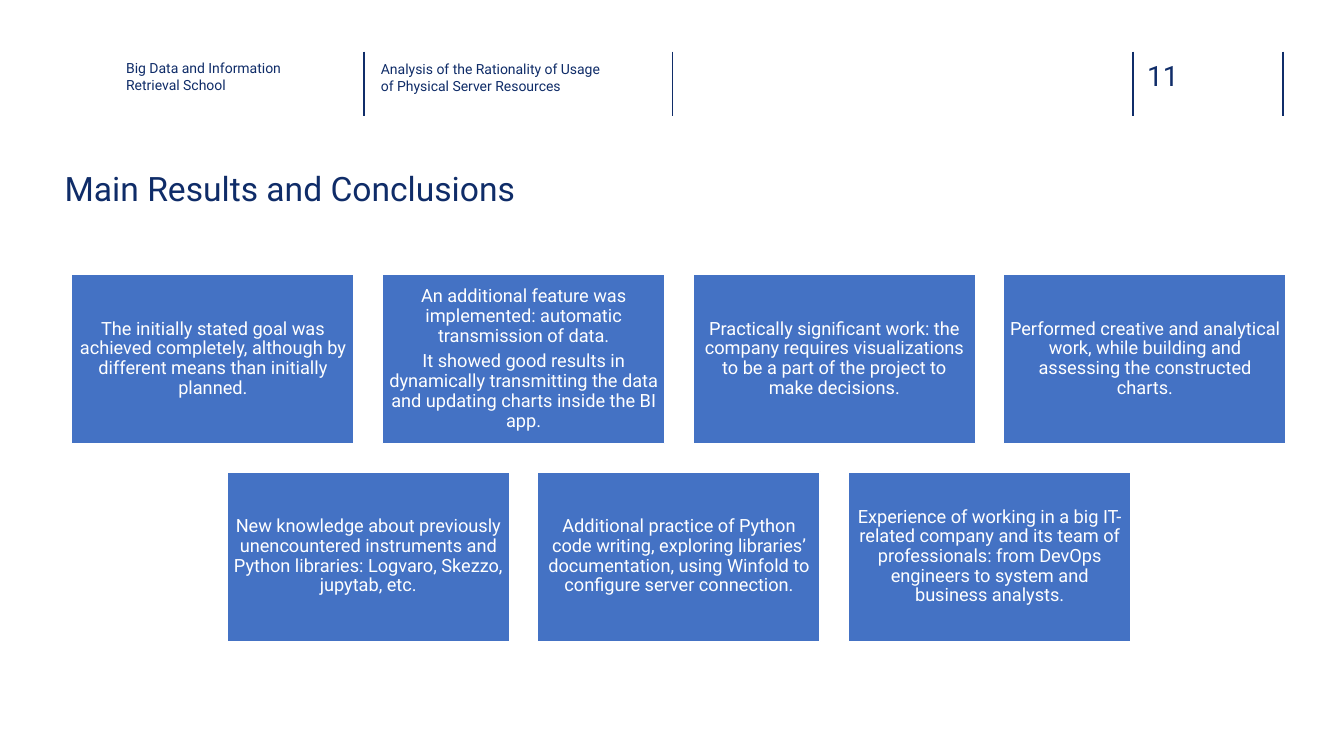
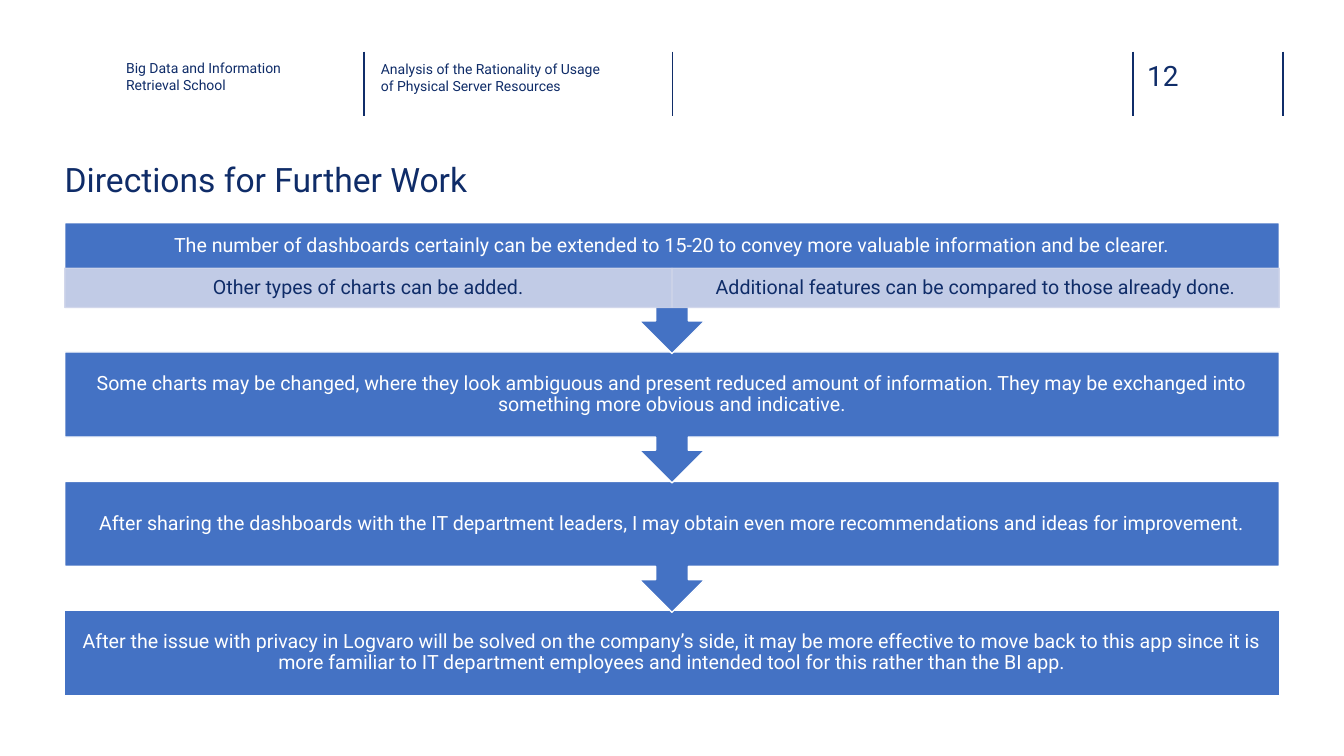
from pptx import Presentation
from pptx.dml.color import RGBColor
from pptx.enum.shapes import MSO_CONNECTOR, MSO_SHAPE
from pptx.enum.text import MSO_ANCHOR, PP_ALIGN
from pptx.oxml.ns import qn
from pptx.util import Cm, Pt
from lxml import etree

NAVY = RGBColor(0x0F, 0x2C, 0x68)
RULE_NAVY = RGBColor(0x10, 0x2D, 0x69)
BLUE = RGBColor(0x44, 0x72, 0xC4)
PALE_BLUE = RGBColor(0xCF, 0xD5, 0xEA)
WHITE = RGBColor(0xFF, 0xFF, 0xFF)
FONT = "Roboto"
RECTANGLE = MSO_SHAPE.RECTANGLE
DOWN_CALLOUT = MSO_SHAPE.DOWN_ARROW_CALLOUT
STRAIGHT = MSO_CONNECTOR.STRAIGHT
LEFT, CENTER = PP_ALIGN.LEFT, PP_ALIGN.CENTER
TOP, MIDDLE = MSO_ANCHOR.TOP, MSO_ANCHOR.MIDDLE

presentation = Presentation()
presentation.slide_width = Cm(33.87)
presentation.slide_height = Cm(19.05)


def add_text(slide, text, left, top, width, height, size=10, color=NAVY,
             kind=None, fill=BLUE, line=WHITE, margins=(0, 0, 0, 0)):
    box = Cm(left), Cm(top), Cm(width), Cm(height)
    if kind is None:
        shape = slide.shapes.add_textbox(*box)
    else:
        shape = slide.shapes.add_shape(kind, *box)
        shape.shadow.inherit = False
        shape.fill.solid()
        shape.fill.fore_color.rgb = fill
        shape.line.color.rgb = line
        shape.line.width = Pt(1)
    frame = shape.text_frame
    frame.word_wrap = True
    frame.vertical_anchor = TOP if kind is None else MIDDLE
    (frame.margin_left, frame.margin_top,
     frame.margin_right, frame.margin_bottom) = [Cm(margin) for margin in margins]
    for index, content in enumerate(text.split("\n")):
        paragraph = frame.add_paragraph() if index else frame.paragraphs[0]
        paragraph.text = content
        paragraph.alignment = LEFT if kind is None else CENTER
        if kind is not None:
            paragraph.line_spacing = 0.9
            paragraph.space_after = Pt(round(size * 0.35, 1))
        paragraph.font.name = FONT
        paragraph.font.size = Pt(size)
        paragraph.font.color.rgb = color
    return shape


def start_slide(title, number, title_top):
    slide = presentation.slides.add_slide(presentation.slide_layouts[6])
    for x in (9.17, 16.94, 28.55, 32.33):
        rule = slide.shapes.add_connector(STRAIGHT, Cm(x), Cm(1.3), Cm(x), Cm(2.93))
        rule.line.color.rgb = RULE_NAVY
        rule.line.width = Pt(1)
        etree.SubElement(rule.element.spPr, qn("a:effectLst"))
    add_text(slide, number, 28.91, 1.47, 1.85, 0.86, size=20, color=RULE_NAVY)
    add_text(slide, "Big Data and Information Retrieval School", 3.18, 1.5, 5.28, 1.14)
    add_text(slide, "Analysis of the Rationality of Usage of Physical Server Resources",
             9.6, 1.52, 5.74, 1.14)
    add_text(slide, title, 1.63, title_top, 17.02, 1.93, size=24)
    return slide


CARD_ROWS = [
    [
        "The initially stated goal was achieved completely, although by different "
        "means than initially planned.",
        "An additional feature was implemented: automatic transmission of data.\n"
        "It showed good results in dynamically transmitting the data and updating "
        "charts inside the BI app.",
        "Practically significant work: the company requires visualizations to be a "
        "part of the project to make decisions.",
        "Performed creative and analytical work, while building and assessing the "
        "constructed charts.",
    ],
    [
        "New knowledge about previously unencountered instruments and Python "
        "libraries: Logvaro, Skezzo, jupytab, etc.",
        "Additional practice of Python code writing, exploring libraries’ "
        "documentation, using Winfold to configure server connection.",
        "Experience of working in a big IT-related company and its team of "
        "professionals: from DevOps engineers to system and business analysts.",
    ],
]
CARD_WIDTH, CARD_HEIGHT, CARD_GAP = 7.12, 4.27, 0.71
CARDS_CENTER = 17.11
slide = start_slide("Main Results and Conclusions", "11", 4.24)
for row, cards in enumerate(CARD_ROWS):
    row_width = len(cards) * (CARD_WIDTH + CARD_GAP) - CARD_GAP
    for column, text in enumerate(cards):
        add_text(slide, text,
                 CARDS_CENTER - row_width / 2 + column * (CARD_WIDTH + CARD_GAP),
                 6.91 + row * (CARD_HEIGHT + CARD_GAP), CARD_WIDTH, CARD_HEIGHT,
                 size=13, color=WHITE, kind=RECTANGLE, margins=(0.13,) * 4)

STEPS = [
    "The number of dashboards certainly can be extended to 15-20 to convey more "
    "valuable information and be clearer.",
    "Some charts may be changed, where they look ambiguous and present reduced "
    "amount of information. They may be exchanged into something more obvious and "
    "indicative.",
    "After sharing the dashboards with the IT department leaders, I may obtain even "
    "more recommendations and ideas for improvement.",
    "After the issue with privacy in Logvaro will be solved on the company’s side, it "
    "may be more effective to move back to this app since it is more familiar to IT "
    "department employees and intended tool for this rather than the BI app.",
]
BRANCHES = [
    "Other types of charts can be added.",
    "Additional features can be compared to those already done.",
]
FLOW_LEFT, FLOW_TOP, FLOW_WIDTH, STEP_PITCH = 1.63, 5.61, 30.61, 3.26
BRANCH_WIDTH = FLOW_WIDTH / len(BRANCHES)
MARGIN = 0.28
slide = start_slide("Directions for Further Work", "12", 4.01)
for index, text in reversed(list(enumerate(STEPS))):
    is_last = index == len(STEPS) - 1
    bottom_margin = MARGIN if index else 1.25
    add_text(slide, text, FLOW_LEFT, FLOW_TOP + index * STEP_PITCH, FLOW_WIDTH,
             2.13 if is_last else 3.3, size=14, color=WHITE,
             kind=RECTANGLE if is_last else DOWN_CALLOUT,
             margins=(MARGIN, MARGIN, MARGIN, bottom_margin))
for index, text in enumerate(BRANCHES):
    branch = add_text(slide, text, FLOW_LEFT + index * BRANCH_WIDTH, 6.76,
                      BRANCH_WIDTH, 0.99, size=14, kind=RECTANGLE, fill=PALE_BLUE,
                      line=PALE_BLUE, margins=(MARGIN, 0.05, MARGIN, 0.05))
    for color in branch.element.spPr.iter(qn("a:srgbClr")):
        etree.SubElement(color, qn("a:alpha"), val="90000")

presentation.save("out.pptx")
